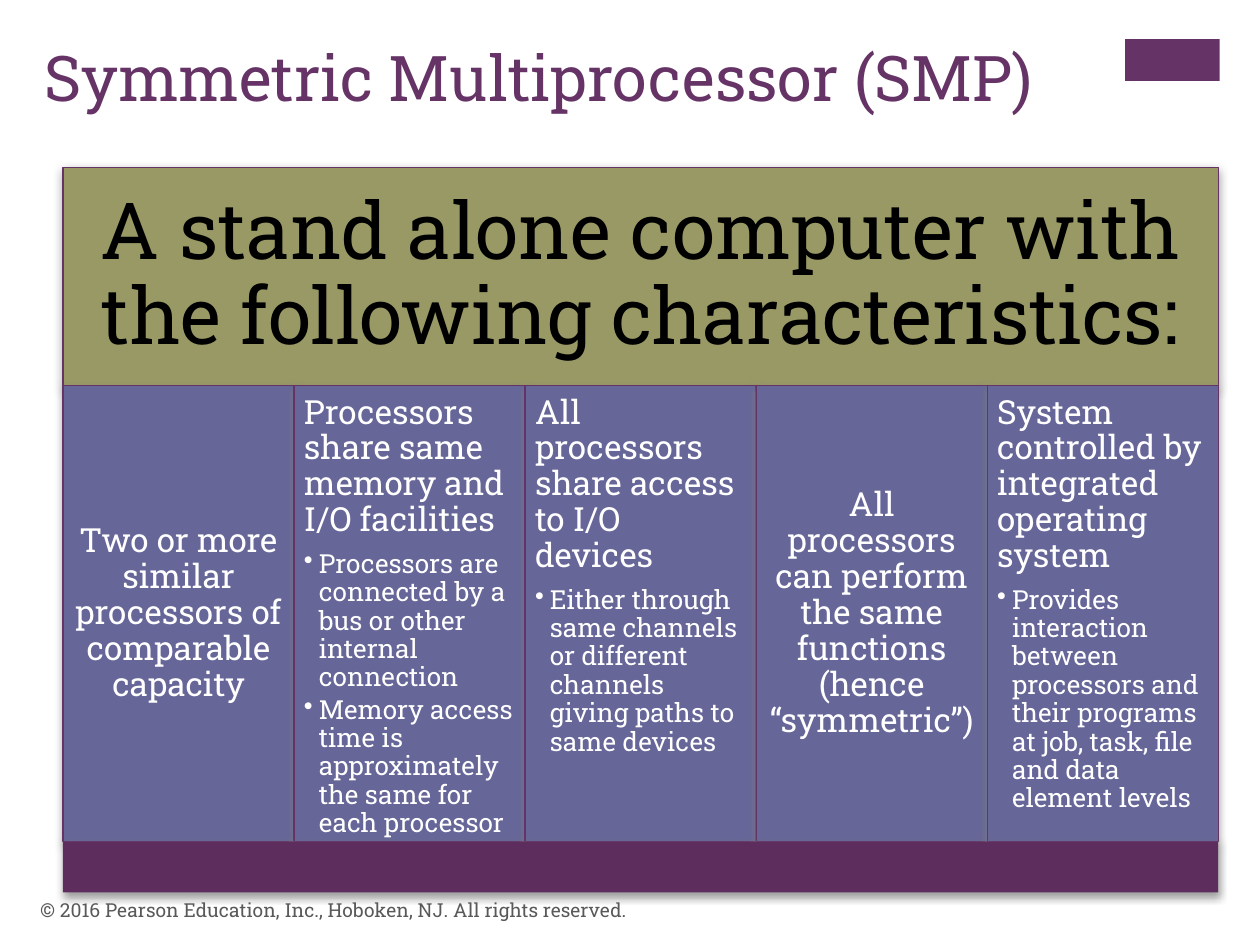
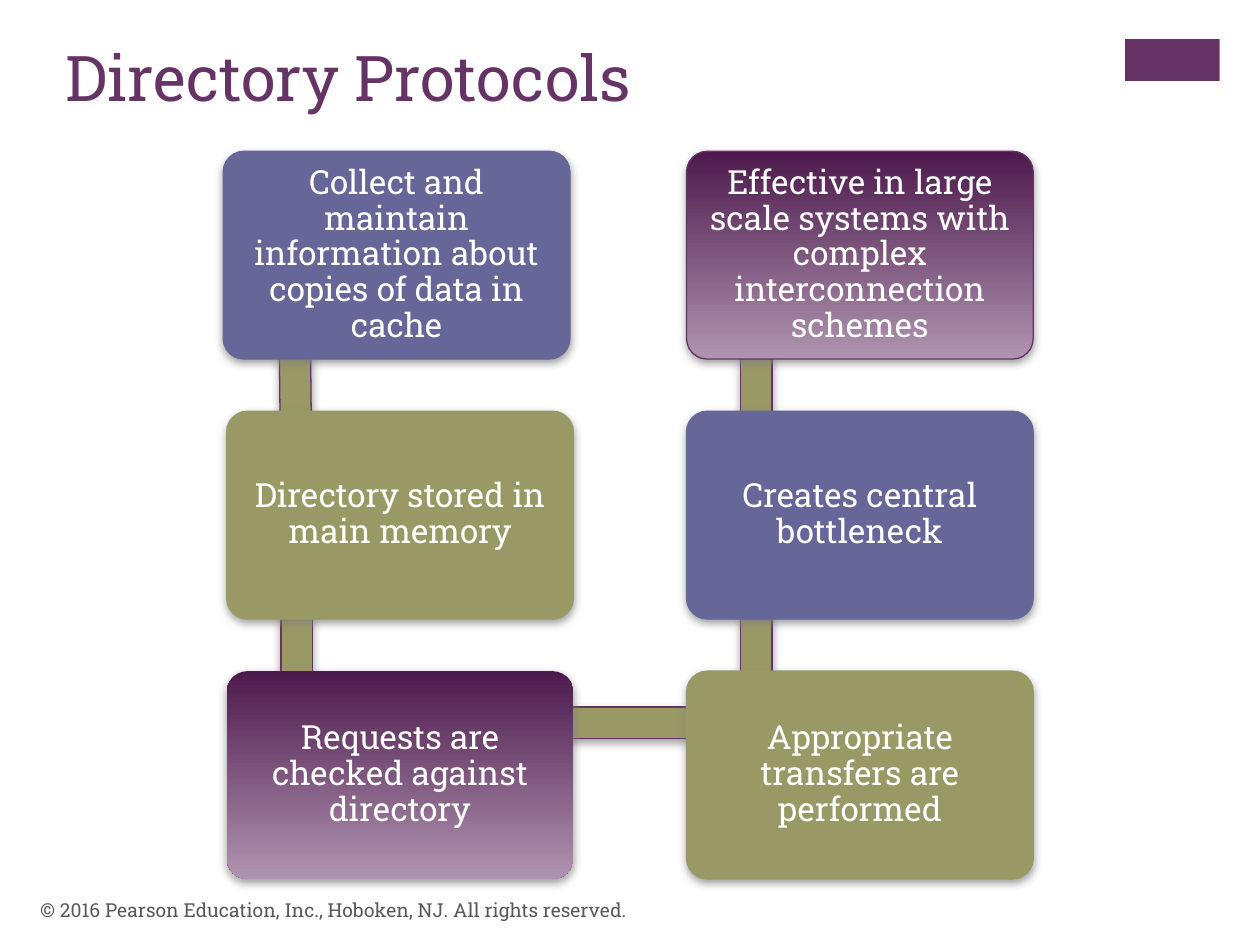
from lxml import etree
from pptx import Presentation
from pptx import util as u
from pptx.dml import color
from pptx.enum import shapes, text
from pptx.oxml import ns

FONT = "Roboto Slab"
PURPLE, OLIVE, SLATE, PLUM = "663366", "999966", "666699", "5D2E5D"
WHITE, BLACK, GREY = "FFFFFF", "000000", "595959"
FADE = ("4D1A4D", "AF94AF")
RECT = shapes.MSO_SHAPE.RECTANGLE
ROUNDED = shapes.MSO_SHAPE.ROUNDED_RECTANGLE
FOOTER = "© 2016 Pearson Education, Inc., Hoboken, NJ. All rights reserved."

HEADING = "A stand alone computer with the following characteristics:"
CHARACTERISTICS = [
    ("Two or more similar processors of comparable capacity", []),
    ("Processors share same memory and I/O facilities",
     ["Processors are connected by a bus or other internal connection",
      "Memory access time is approximately the same for each processor"]),
    ("All processors share access to I/O devices",
     ["Either through same channels or different channels giving paths to same devices"]),
    ("All processors can perform the same functions (hence “symmetric”)", []),
    ("System controlled by integrated operating system",
     ["Provides interaction between processors and their programs "
      "at job, task, file and data element levels"]),
]
PROTOCOL_BOXES = [
    (4.5, 0, SLATE, SLATE, "Collect and maintain information about copies of data in cache"),
    (4.57, 1, OLIVE, OLIVE, "Directory stored in main memory"),
    (4.57, 2, FADE, None, "Requests are checked against directory"),
    (13.84, 2, OLIVE, OLIVE, "Appropriate transfers are performed"),
    (13.84, 1, SLATE, SLATE, "Creates central bottleneck"),
    (13.84, 0, FADE, PURPLE,
     "Effective in large scale systems with complex interconnection schemes"),
]


def rgb(value):
    return color.RGBColor.from_string(value)


def style_font(para, size, colour):
    para.font.name = FONT
    para.font.size = u.Pt(size)
    para.font.color.rgb = rgb(colour)


def add_element(parent, tag, **attributes):
    element = etree.SubElement(parent, ns.qn(tag))
    for name, value in attributes.items():
        element.set(name, str(value))
    return element


def add_shadow(shape):
    effects = shape._element.spPr.find(ns.qn("a:effectLst"))
    shadow = add_element(effects, "a:outerShdw", blurRad=u.Pt(5), dist=u.Pt(2),
                         dir=90 * 60000, rotWithShape=0)
    tint = add_element(shadow, "a:srgbClr", val="808080")
    add_element(tint, "a:alpha", val=75000)


def add_block(page, kind, left, top, width, height, fill, line=None, shadow=True):
    shape = page.shapes.add_shape(kind, *map(u.Cm, (left, top, width, height)))
    shape.shadow.inherit = False
    if shadow:
        add_shadow(shape)
    if isinstance(fill, tuple):
        shape.fill.gradient()
        shape.fill.gradient_angle = 270
        for stop, colour in zip(shape.fill.gradient_stops, fill):
            stop.color.rgb = rgb(colour)
    else:
        shape.fill.solid()
        shape.fill.fore_color.rgb = rgb(fill)
    if line:
        shape.line.color.rgb = rgb(line)
        shape.line.width = u.Pt(0.75)
    else:
        shape.line.fill.background()
    return shape


def write_block(shape, heading, bullets=(), size=19, colour=WHITE, margin=0.2):
    frame = shape.text_frame
    frame.word_wrap = True
    frame.margin_left = frame.margin_right = u.Cm(margin)
    frame.margin_top = frame.margin_bottom = u.Cm(margin)
    frame.vertical_anchor = text.MSO_ANCHOR.TOP if bullets else text.MSO_ANCHOR.MIDDLE
    para = frame.paragraphs[0]
    para.text = heading
    para.alignment = text.PP_ALIGN.LEFT if bullets else text.PP_ALIGN.CENTER
    para.line_spacing = 0.9
    para.space_after = u.Pt(size * 0.35)
    style_font(para, size, colour)
    for bullet in bullets:
        add_bullet(frame, bullet, colour)


def add_bullet(frame, wording, colour, size=15):
    para = frame.add_paragraph()
    para.text = wording
    para.level = 1
    para.alignment = text.PP_ALIGN.LEFT
    para.line_spacing = 0.9
    para.space_after = u.Pt(size * 0.15)
    properties = para._p.get_or_add_pPr()
    properties.set("marL", str(u.Cm(0.3)))
    properties.set("indent", str(-u.Cm(0.3)))
    add_element(properties, "a:buChar", char="•")
    style_font(para, size, colour)


def add_page(deck, heading, left):
    page = deck.slides.add_slide(deck.slide_layouts[5])
    add_block(page, RECT, 22.68, 0.79, 1.91, 0.84, PURPLE, shadow=False)
    title = page.shapes.title
    title.left, title.top, title.width, title.height = map(u.Cm, (left, 0.64, 20.98, 3.1))
    title.text_frame.text = heading
    title.text_frame.vertical_anchor = text.MSO_ANCHOR.TOP
    para = title.text_frame.paragraphs[0]
    para.alignment = text.PP_ALIGN.LEFT
    style_font(para, 36, PURPLE)
    return page


def add_footer(page):
    box = page.shapes.add_textbox(*map(u.Cm, (0.56, 17.83, 17.02, 1.02)))
    box.text_frame.word_wrap = True
    box.text_frame.vertical_anchor = text.MSO_ANCHOR.MIDDLE
    para = box.text_frame.paragraphs[0]
    para.text = FOOTER
    style_font(para, 11, GREY)


def add_link(page, centre_x, centre_y, length, rotation):
    thickness = 0.63
    link = add_block(page, RECT, centre_x - length / 2, centre_y - thickness / 2,
                     length, thickness, OLIVE, PURPLE)
    link.rotation = rotation


def build_smp(deck):
    page = add_page(deck, "Symmetric Multiprocessor (SMP)", 0.64)
    left, width = 1.27, 23.29
    banner = add_block(page, RECT, left, 3.38, width, 4.39, OLIVE, PURPLE)
    write_block(banner, HEADING, size=45, colour=BLACK, margin=0.48)
    column = width / len(CHARACTERISTICS)
    for index, (heading, bullets) in enumerate(CHARACTERISTICS):
        panel = add_block(page, RECT, left + index * column, 7.77, column, 9.2, SLATE, PURPLE)
        write_block(panel, heading, bullets)
    add_block(page, RECT, left, 16.97, width, 1.02, PLUM)
    add_footer(page)


def build_protocols(deck):
    page = add_page(deck, "Directory Protocols", 1.07)
    first_row, row_step, column_step = 3.05, 5.24, 9.27
    left_link, upper_link = 5.98, 6.69
    right_link, lower_link = left_link + column_step, upper_link + row_step
    add_link(page, 5.94, upper_link, 5.23, 89.4)
    add_link(page, left_link, lower_link, 5.21, 90)
    add_link(page, left_link + column_step / 2, 14.57, column_step, 0)
    for centre_y in (lower_link, upper_link):
        add_link(page, right_link, centre_y, 5.21, 270)
    for left, row, fill, line, wording in PROTOCOL_BOXES:
        box = add_block(page, ROUNDED, left, first_row + row * row_step, 6.99, 4.19, fill, line)
        box.adjustments[0] = 0.1
        write_block(box, wording)
    add_footer(page)


def main():
    deck = Presentation()
    deck.slide_width, deck.slide_height = u.Cm(25.4), u.Cm(19.05)
    build_smp(deck)
    build_protocols(deck)
    deck.save("out.pptx")


if __name__ == "__main__":
    main()
